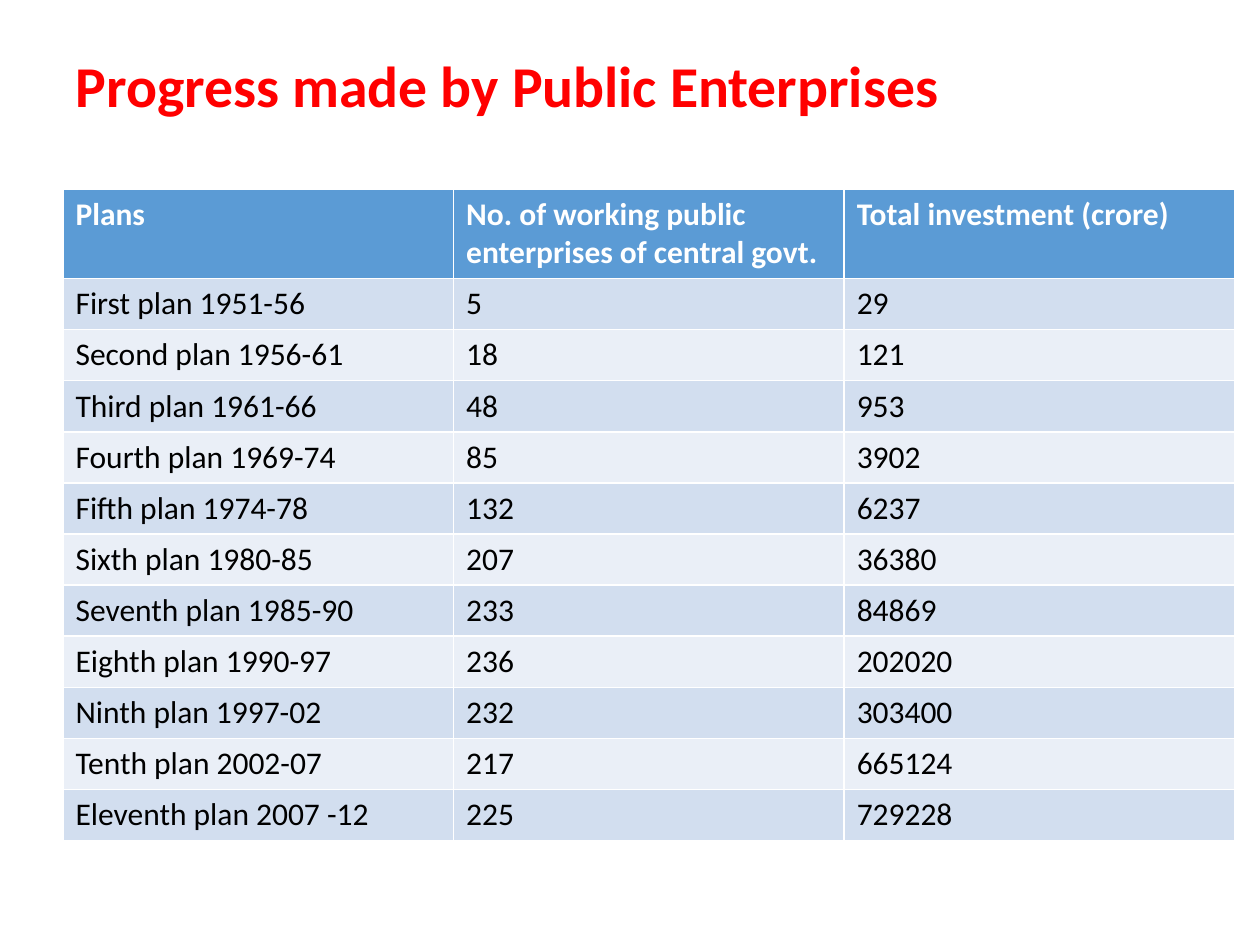
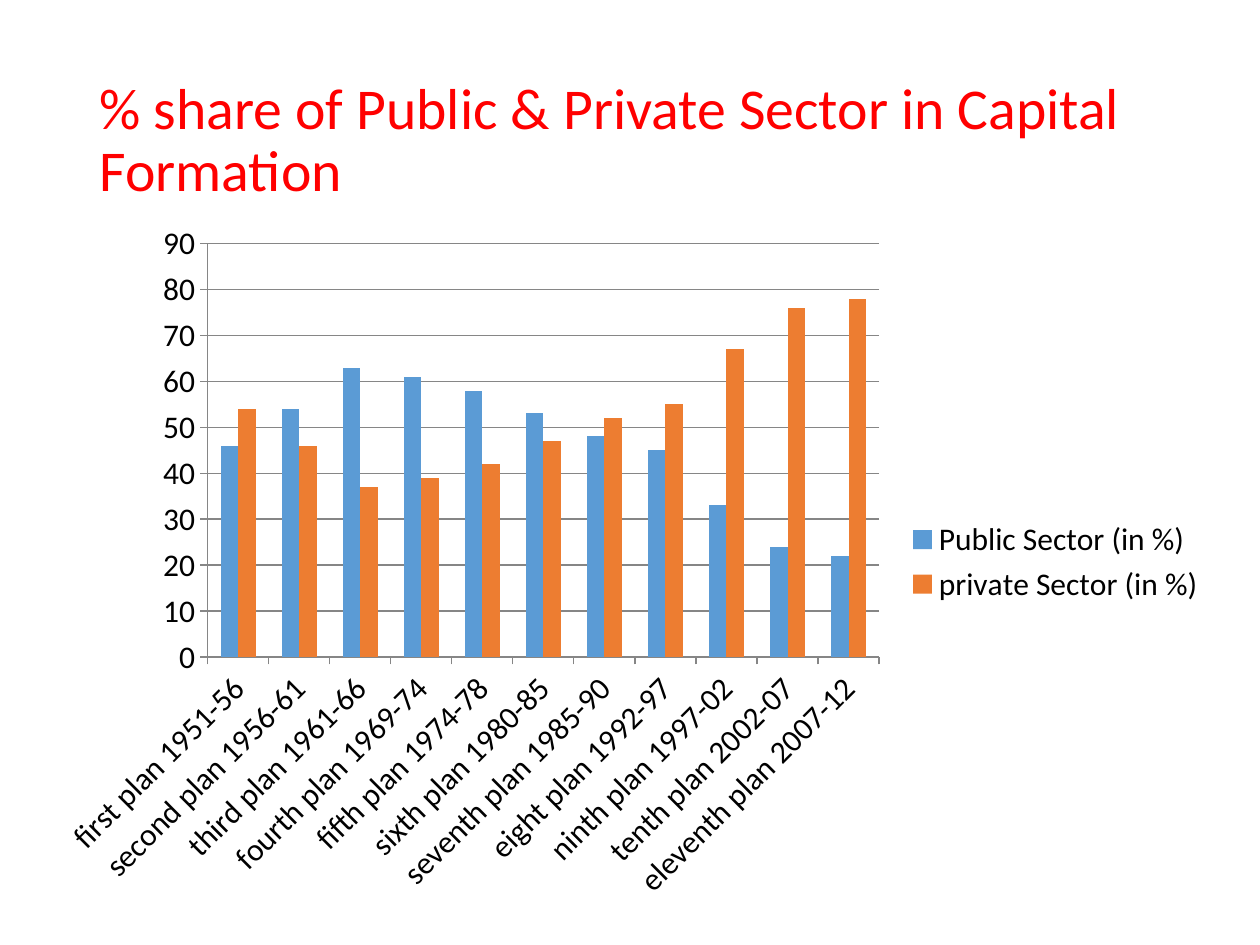
import pptx
import pptx.chart.data
import pptx.dml.color
import pptx.enum.chart
import pptx.enum.text
import pptx.util

Inches = pptx.util.Inches
Pt = pptx.util.Pt

# Shared look
FONT = "Calibri"
RED, WHITE, BLACK, GREY = "FF0000", "FFFFFF", "000000", "868686"
BLUE, ORANGE = "5B9BD5", "ED7D31"
BANDS = ("D2DEEF", "EAEFF7")

# Table: plan, working enterprises, investment
HEADS = ("Plans", "No. of working public enterprises of central govt.",
         "Total investment (crore)")
PLANS = (
    ("First plan 1951-56", 5, 29),
    ("Second plan 1956-61", 18, 121),
    ("Third plan 1961-66", 48, 953),
    ("Fourth plan 1969-74", 85, 3902),
    ("Fifth plan 1974-78", 132, 6237),
    ("Sixth plan 1980-85", 207, 36380),
    ("Seventh plan 1985-90", 233, 84869),
    ("Eighth plan 1990-97", 236, 202020),
    ("Ninth plan 1997-02", 232, 303400),
    ("Tenth plan 2002-07", 217, 665124),
    ("Eleventh plan 2007 -12", 225, 729228),
)

# Chart: plan, public share, private share
SHARES = (
    ("first plan 1951-56", 46, 54),
    ("second plan 1956-61", 54, 46),
    ("third plan 1961-66", 63, 37),
    ("fourth plan 1969-74", 61, 39),
    ("fifth plan 1974-78", 58, 42),
    ("sixth plan 1980-85", 53, 47),
    ("seventh plan 1985-90", 48, 52),
    ("eight plan 1992-97", 45, 55),
    ("ninth plan 1997-02", 33, 67),
    ("tenth plan 2002-07", 24, 76),
    ("eleventh plan 2007-12", 22, 78),
)


def color(code):
    return pptx.dml.color.RGBColor.from_string(code)


def style(font, size, code, bold=False):
    font.name = FONT
    font.size = Pt(size)
    font.bold = bold
    font.color.rgb = color(code)


def paint(fill, code):
    fill.solid()
    fill.fore_color.rgb = color(code)


def add_slide(deck, text, box, bold=False):
    """Add a title-only slide with the red title in the given box."""
    slide = deck.slides.add_slide(deck.slide_layouts[5])
    paint(slide.background.fill, WHITE)
    title = slide.shapes.title
    title.left, title.top, title.width, title.height = map(Inches, box)
    frame = title.text_frame
    frame.text = text
    frame.word_wrap = True
    frame.auto_size = pptx.enum.text.MSO_AUTO_SIZE.NONE
    frame.vertical_anchor = pptx.enum.text.MSO_ANCHOR.MIDDLE
    para = frame.paragraphs[0]
    para.alignment = pptx.enum.text.PP_ALIGN.LEFT
    para.line_spacing = 0.9
    style(para.runs[0].font, 33, RED, bold)
    return slide


def add_grid(slide, heads, rows, box, top):
    """Add a banded table; top is the height of its header row."""
    data = (heads, *rows)
    grid = slide.shapes.add_table(
        len(data), len(heads), *map(Inches, box)).table
    for col in grid.columns:
        col.width = Inches(box[2] / len(heads))
    for i, values in enumerate(data):
        head = i == 0
        grid.rows[i].height = Inches(
            top if head else (box[3] - top) / len(rows))
        for j, value in enumerate(values):
            cell = grid.cell(i, j)
            cell.text = str(value)
            paint(cell.fill, BLUE if head else BANDS[(i - 1) % 2])
            run = cell.text_frame.paragraphs[0].runs[0]
            style(run.font, 18, WHITE if head else BLACK, head)


def add_bars(slide, names, rows, box):
    """Add a clustered column chart with its legend on the right."""
    plans, *series = zip(*rows)
    data = pptx.chart.data.CategoryChartData()
    data.categories = plans
    for name, values in zip(names, series):
        data.add_series(name, values)
    chart = slide.shapes.add_chart(
        pptx.enum.chart.XL_CHART_TYPE.COLUMN_CLUSTERED,
        *map(Inches, box), data).chart
    style(chart.font, 18, BLACK)
    chart.has_title = False
    chart.has_legend = True
    chart.legend.position = pptx.enum.chart.XL_LEGEND_POSITION.RIGHT
    chart.legend.include_in_layout = False

    # Bars
    plot = chart.plots[0]
    plot.gap_width = 150
    plot.overlap = 0
    plot.vary_by_categories = False
    for bars, code in zip(plot.series, (BLUE, ORANGE)):
        paint(bars.format.fill, code)

    # Axes
    chart.value_axis.has_major_gridlines = True
    lines = [chart.value_axis.major_gridlines.format.line]
    for axis in (chart.category_axis, chart.value_axis):
        axis.major_tick_mark = pptx.enum.chart.XL_TICK_MARK.OUTSIDE
        lines.append(axis.format.line)
    for line in lines:
        line.width = Pt(0.75)
        line.color.rgb = color(GREY)


def main():
    deck = pptx.Presentation()
    deck.slide_width, deck.slide_height = Inches(10), Inches(7.5)

    # Progress table
    slide = add_slide(deck, "Progress made by Public Enterprises",
                      (0.5, 0.08, 9, 1.25), bold=True)
    add_grid(slide, HEADS, PLANS, (0.5, 1.5, 9.3, 5.13), 0.67)

    # Sector shares
    slide = add_slide(
        deck, "% share of Public & Private Sector in Capital Formation",
        (0.69, 0.4, 8.62, 1.45))
    add_bars(slide, ("Public Sector (in %)", "private Sector (in %)"),
             SHARES, (0.33, 1.67, 9.34, 5.58))

    deck.save("out.pptx")


if __name__ == "__main__":
    main()
